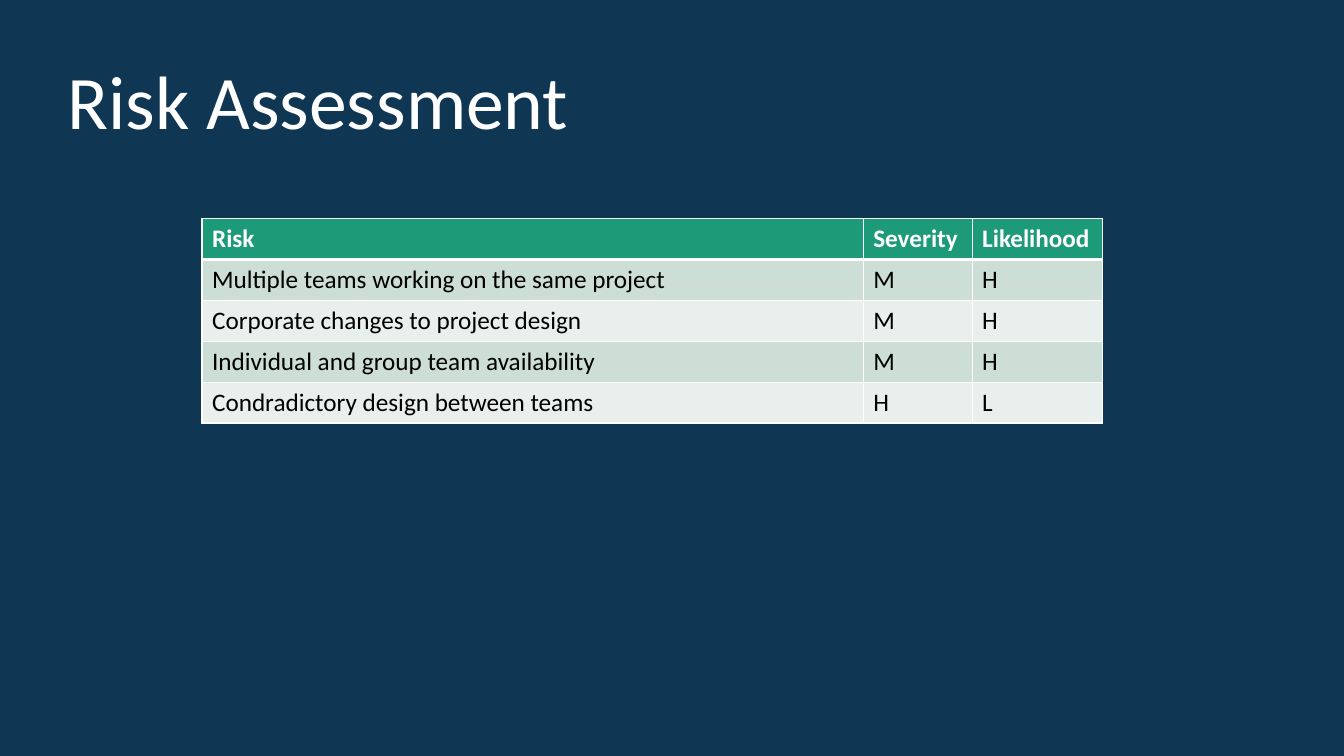
from dataclasses import dataclass

from lxml.etree import SubElement as Sub
from pptx import Presentation as Deck
from pptx.dml.color import RGBColor as Rgb
from pptx.enum.text import MSO_AUTO_SIZE as Fit
from pptx.oxml.ns import qn
from pptx.util import Pt


@dataclass(frozen=True)
class Theme:
    """Colours, font and type sizes of the slide."""
    back: str = "0F3754"
    light: str = "FFFFFF"
    dark: str = "000000"
    head: str = "1D9A78"
    bands: tuple = ("CDDED6", "E8EFEC")
    font: str = "Calibri"
    title: int = 54
    body: int = 18
    thin: int = 1
    thick: int = 3


def write(frame, text, font, size, color, bold=False):
    """Put one formatted line of text in a frame."""
    run = frame.paragraphs[0].add_run()
    run.text = text
    run.font.name = font
    run.font.size = Pt(size)
    run.font.bold = bold
    run.font.color.rgb = Rgb.from_string(color)


class Page:
    """Hold the theme and the current slide."""

    def __init__(self, deck, theme):
        """Add a blank slide with the theme's background."""
        self.theme = theme
        self.slide = deck.slides.add_slide(deck.slide_layouts[6])
        fill = self.slide.background.fill
        fill.solid()
        fill.fore_color.rgb = Rgb.from_string(theme.back)

    def title(self, text, x, y, w, h):
        """Add the slide title."""
        look = self.theme
        box = self.slide.shapes.add_textbox(Pt(x), Pt(y), Pt(w), Pt(h))
        frame = box.text_frame
        frame.word_wrap = True
        frame.auto_size = Fit.SHAPE_TO_FIT_TEXT
        write(frame, text, font=look.font, size=look.title, color=look.light)

    def edge(self, cell, side, width):
        """Draw one border of a cell."""
        props = cell._tc.get_or_add_tcPr()
        line = Sub(props, qn(f"a:ln{side}"), w=str(Pt(width)))
        fill = Sub(line, qn("a:solidFill"))
        Sub(fill, qn("a:srgbClr"), val=self.theme.light)

    def cell(self, cell, text, row):
        """Style and fill in one cell of the given row."""
        look = self.theme
        head = row == 0
        wide = {"T": row == 1, "B": head}
        for side in "LRTB":
            self.edge(cell, side, look.thick if wide.get(side) else look.thin)
        cell.fill.solid()
        tint = look.head if head else look.bands[(row - 1) % 2]
        cell.fill.fore_color.rgb = Rgb.from_string(tint)
        write(cell.text_frame, text, font=look.font, size=look.body,
              color=look.light if head else look.dark, bold=head)

    def table(self, rows, x, y, cols, high):
        """Add a banded table with a header row."""
        grid = self.slide.shapes.add_table(
            len(rows), len(cols), Pt(x), Pt(y),
            Pt(sum(cols)), Pt(high * len(rows))).table
        for col, wide in zip(grid.columns, cols):
            col.width = Pt(wide)
        for r, row in enumerate(rows):
            for c, text in enumerate(row):
                self.cell(grid.cell(r, c), text, r)


def main():
    """Build and save the risk slide."""
    deck = Deck()
    deck.slide_width, deck.slide_height = Pt(960), Pt(540)
    page = Page(deck, Theme())
    page.title("Risk Assessment", x=41, y=35.3, w=750, h=72.7)
    risks = [
        ("Risk", "Severity", "Likelihood"),
        ("Multiple teams working on the same project", "M", "H"),
        ("Corporate changes to project design", "M", "H"),
        ("Individual and group team availability", "M", "H"),
        ("Condradictory design between teams", "H", "L"),
    ]
    page.table(risks, x=144.3, y=156.2, cols=(472.3, 77.8, 92.9), high=29.2)
    deck.save("out.pptx")


if __name__ == "__main__":
    main()
